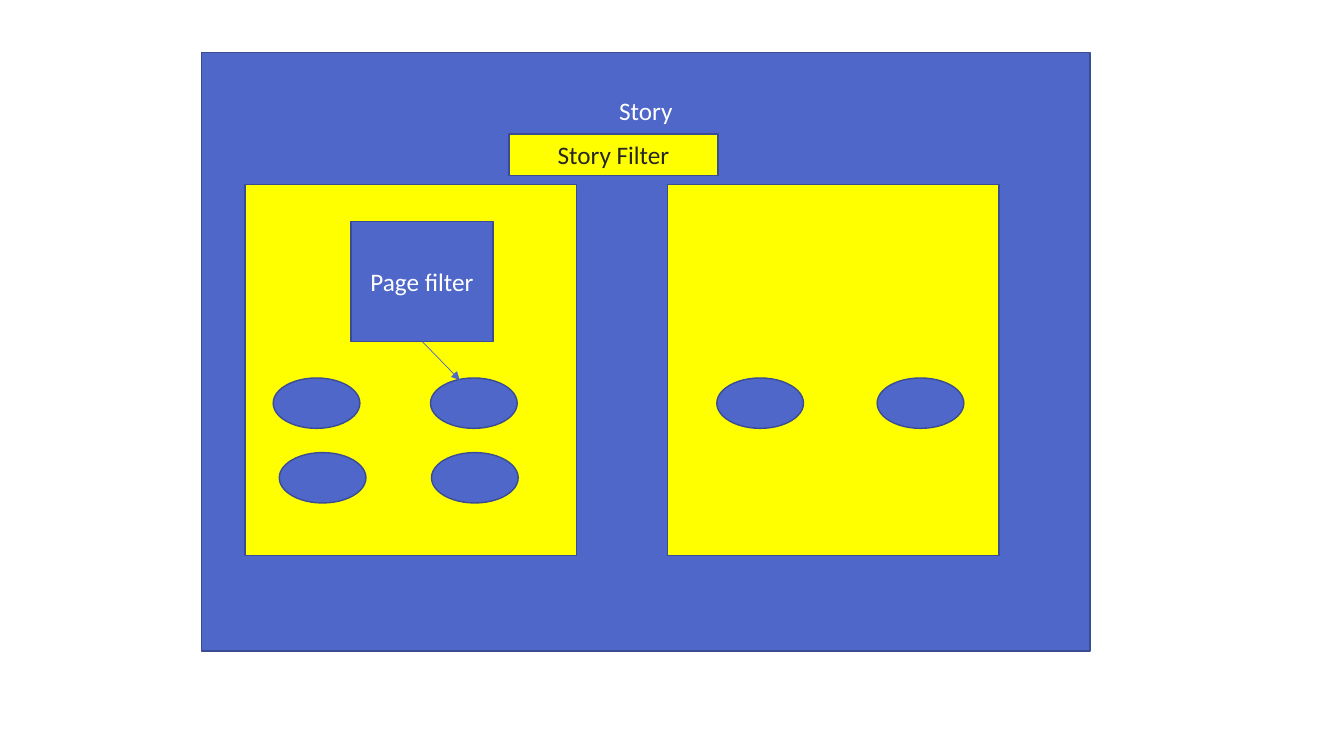
from dataclasses import dataclass

from lxml.etree import SubElement
from pptx import Presentation
from pptx.dml.color import RGBColor
from pptx.enum.shapes import MSO_CONNECTOR, MSO_SHAPE
from pptx.enum.text import MSO_ANCHOR, PP_ALIGN
from pptx.oxml.ns import qn
from pptx.slide import Slide
from pptx.util import Inches, Pt

COLORS = {
    "blue": "4E67C8",
    "outline": "3A4C94",
    "yellow": "FFFF00",
    "white": "FFFFFF",
    "dark": "262626",
}
FONT = "Calibri"


@dataclass(frozen=True)
class Block:
    left: float
    top: float
    width: float
    height: float
    fill: str = "blue"
    kind: MSO_SHAPE = MSO_SHAPE.RECTANGLE
    text: str = ""
    text_color: str = "white"
    anchor: MSO_ANCHOR = MSO_ANCHOR.MIDDLE
    top_inset: float = 0.05


def color(name: str) -> RGBColor:
    return RGBColor.from_string(COLORS[name])


def page_panel(left: float) -> Block:
    return Block(left, 1.83, 3.29, 3.68, "yellow")


def visual(left: float, top: float) -> Block:
    return Block(left, top, 0.86, 0.5, kind=MSO_SHAPE.OVAL)


def draw_block(page: Slide, block: Block) -> None:
    shape = page.shapes.add_shape(
        block.kind, Inches(block.left), Inches(block.top),
        Inches(block.width), Inches(block.height))
    shape.shadow.inherit = False
    shape.fill.solid()
    shape.fill.fore_color.rgb = color(block.fill)
    shape.line.color.rgb = color("outline")
    shape.line.width = Pt(1)
    if not block.text:
        return
    frame = shape.text_frame
    frame.word_wrap = True
    frame.vertical_anchor = block.anchor
    frame.margin_top = Inches(block.top_inset)
    para = frame.paragraphs[0]
    para.alignment = PP_ALIGN.CENTER
    span = para.add_run()
    span.text = block.text
    span.font.name = FONT
    span.font.size = Pt(18)
    span.font.color.rgb = color(block.text_color)


def draw_arrow(page: Slide, start: tuple[float, float], end: tuple[float, float]) -> None:
    arrow = page.shapes.add_connector(
        MSO_CONNECTOR.STRAIGHT, *map(Inches, start + end))
    arrow.line.color.rgb = color("blue")
    arrow.line.width = Pt(0.5)
    SubElement(arrow.line._get_or_add_ln(), qn("a:tailEnd"), type="triangle")
    SubElement(arrow._element.spPr, qn("a:effectLst"))


UPPER_ROW, LOWER_ROW = 3.75, 4.49
BLOCKS = [
    # Story container and its two pages
    Block(2, 0.52, 8.81, 5.94, text="Story",
          anchor=MSO_ANCHOR.TOP, top_inset=0.43),
    page_panel(2.43),
    page_panel(6.62),
    # Filters
    Block(3.48, 2.2, 1.41, 1.19, text="Page filter"),
    Block(5.05, 1.33, 2.07, 0.41, "yellow",
          text="Story Filter", text_color="dark"),
    # Visuals on the pages
    *(visual(left, UPPER_ROW) for left in (2.71, 4.27, 7.11, 8.7)),
    *(visual(left, LOWER_ROW) for left in (2.77, 4.28)),
]


def main() -> None:
    deck = Presentation()
    deck.slide_width, deck.slide_height = Inches(13.33), Inches(7.5)
    page = deck.slides.add_slide(deck.slide_layouts[6])
    for block in BLOCKS:
        draw_block(page, block)
    # The page filter acts on one visual
    draw_arrow(page, (4.19, 3.39), (4.56, 3.77))
    deck.save("out.pptx")


if __name__ == "__main__":
    main()
